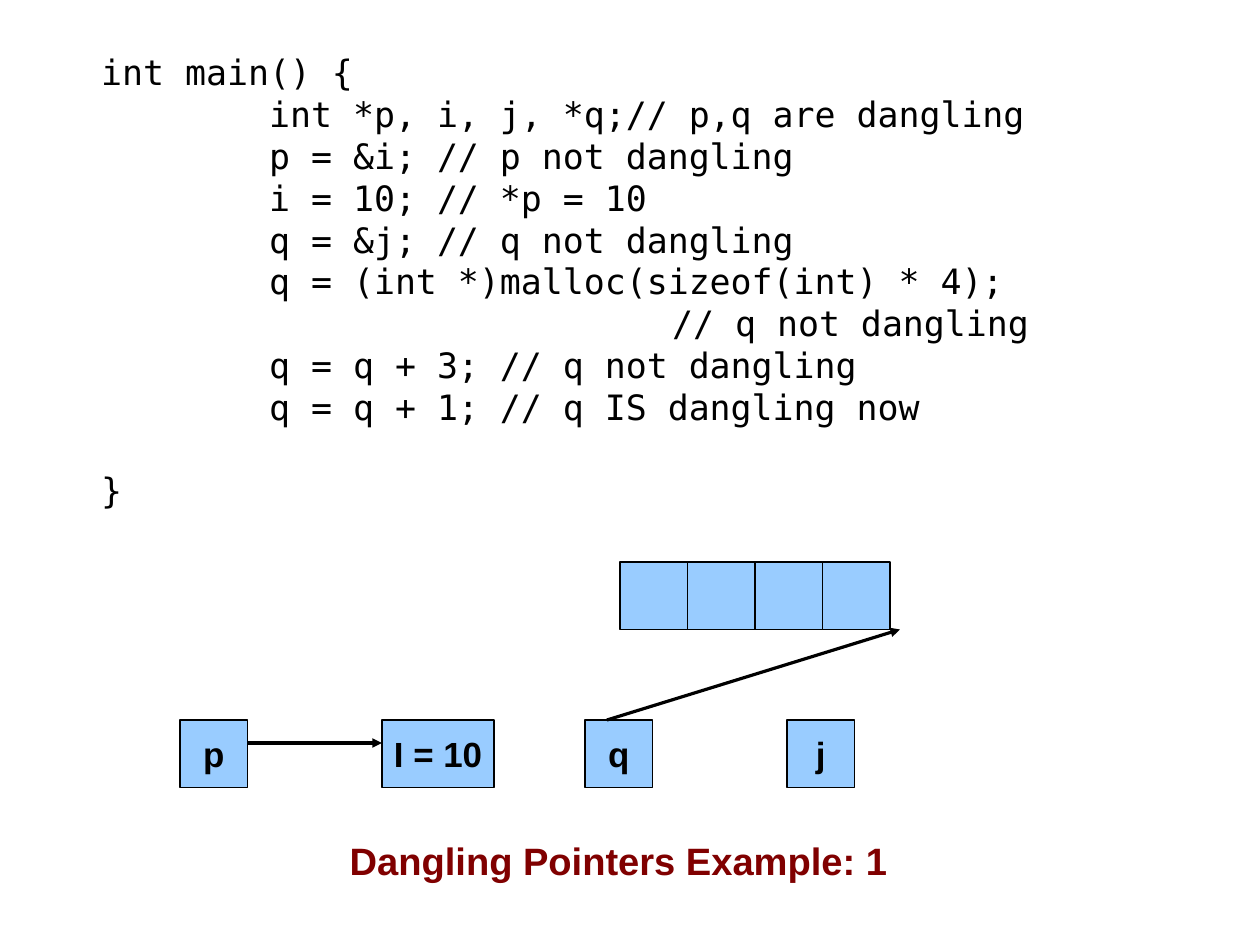
from lxml import etree
from pptx import Presentation, util as u
from pptx.dml.color import RGBColor
from pptx.enum import shapes, text
from pptx.oxml.ns import qn

PX = 8000  # EMU per px
SLIDE = (1260, 945)
BLACK, SKY, MAROON = "000000", "99CCFF", "800000"
MONO, SANS = "DejaVu Sans Mono", "Arial"

# (indent in px, line of code)
BODY, REMARK = 168, 571
CODE = [
    (0, "int main() {"),
    (BODY, "int *p, i, j, *q;// p,q are dangling"),
    (BODY, "p = &i; // p not dangling"),
    (BODY, "i = 10; // *p = 10"),
    (BODY, "q = &j; // q not dangling"),
    (BODY, "q = (int *)malloc(sizeof(int) * 4);"),
    (REMARK, "// q not dangling"),
    (BODY, "q = q + 3; // q not dangling"),
    (BODY, "q = q + 1; // q IS dangling now"),
    (0, "}"),
]
BLANK_LINE_PT = 26
CODE_AREA = (90, 45, 1072, 458)
TITLE = "Dangling Pointers Example: 1"
TITLE_AREA = (112, 832, 1013, 54)

ARRAY_LEFT, ARRAY_TOP, ARRAY_WIDTH, ARRAY_CELLS = 620, 562, 270, 4
SIDE = ARRAY_WIDTH / ARRAY_CELLS
VARIABLES_TOP = 720
VARIABLES = [("p", 180, SIDE), ("I = 10", 382, 112), ("q", 585, SIDE), ("j", 787, SIDE)]
ARROWS = [
    (180 + SIDE, 743, 382, 743),
    (607, VARIABLES_TOP, 900, ARRAY_TOP + SIDE),
]


def px(*lengths):
    return [u.Emu(round(length * PX)) for length in lengths]


def color(value):
    return RGBColor.from_string(value)


def style(paragraph, font_name, size, tint, bold=False):
    for run in paragraph.runs:
        run.font.name, run.font.size, run.font.bold = font_name, u.Pt(size), bold
        run.font.color.rgb = color(tint)


def add_text(slide, area, content):
    frame = slide.shapes.add_textbox(*px(*area)).text_frame
    frame.word_wrap = True
    frame.auto_size = text.MSO_AUTO_SIZE.SHAPE_TO_FIT_TEXT
    frame.text = content
    return frame


def add_cell(slide, left, top, width, label=""):
    cell = slide.shapes.add_shape(shapes.MSO_SHAPE.RECTANGLE, *px(left, top, width, SIDE))
    cell.shadow.inherit = False
    cell.fill.solid()
    cell.fill.fore_color.rgb = color(SKY)
    cell.line.color.rgb = color(BLACK)
    cell.line.width = 0
    if label:
        frame = cell.text_frame
        frame.word_wrap = False
        frame.vertical_anchor = text.MSO_ANCHOR.MIDDLE
        frame.text = label
        frame.paragraphs[0].alignment = text.PP_ALIGN.CENTER
        style(frame.paragraphs[0], SANS, 22, BLACK, bold=True)


def add_arrow(slide, ends):
    arrow = slide.shapes.add_connector(shapes.MSO_CONNECTOR.STRAIGHT, *px(*ends))
    arrow.line.color.rgb = color(BLACK)
    arrow.line.width = 0
    properties = arrow._element.spPr
    etree.SubElement(properties.find(qn("a:ln")), qn("a:tailEnd"), type="triangle")
    etree.SubElement(properties, qn("a:effectLst"))


def main():
    deck = Presentation()
    deck.slide_width, deck.slide_height = px(*SLIDE)
    slide = deck.slides.add_slide(deck.slide_layouts[6])

    code = add_text(slide, CODE_AREA, "\n".join(line for _, line in CODE))
    for paragraph, (indent, _) in zip(code.paragraphs, CODE):
        style(paragraph, MONO, 22, BLACK)
        paragraph._p.get_or_add_pPr().set("marL", str(indent * PX))
    code.paragraphs[-1].space_before = u.Pt(BLANK_LINE_PT)

    for name, left, width in VARIABLES:
        add_cell(slide, left, VARIABLES_TOP, width, name)
    for index in range(ARRAY_CELLS):
        add_cell(slide, ARRAY_LEFT + index * SIDE, ARRAY_TOP, SIDE)
    for ends in ARROWS:
        add_arrow(slide, ends)

    title = add_text(slide, TITLE_AREA, TITLE).paragraphs[0]
    title.alignment = text.PP_ALIGN.CENTER
    style(title, SANS, 24, MAROON, bold=True)
    deck.save("out.pptx")


if __name__ == "__main__":
    main()
